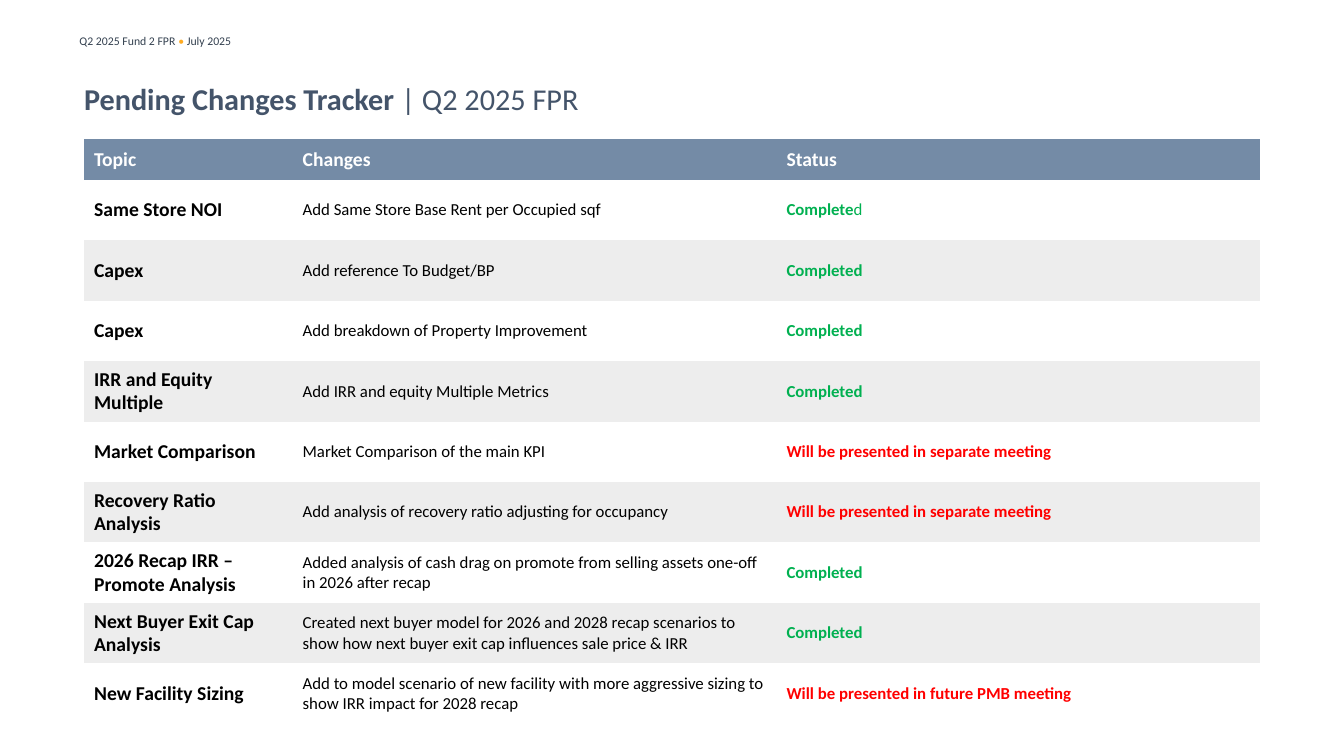
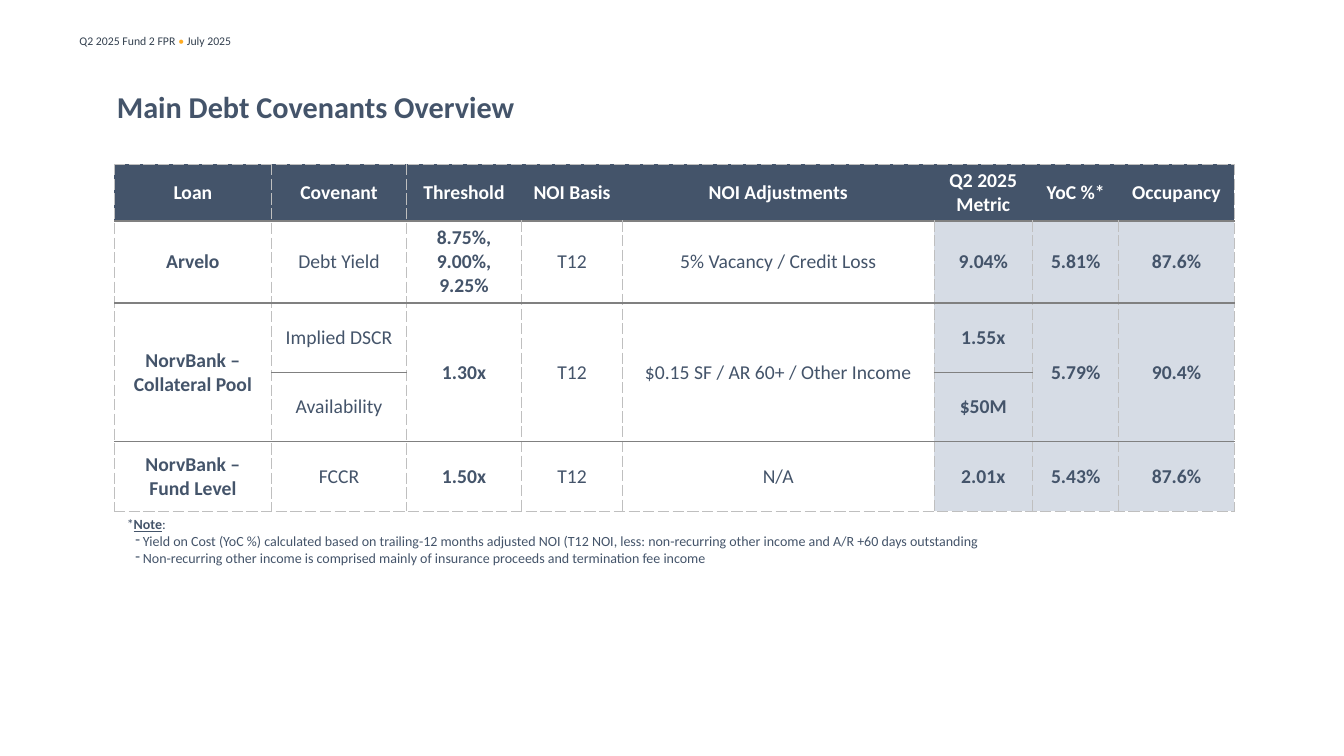
from lxml.etree import SubElement
from pptx import Presentation
from pptx.dml.color import RGBColor
from pptx.enum.text import MSO_ANCHOR, MSO_AUTO_SIZE, PP_ALIGN
from pptx.oxml import parse_xml
from pptx.oxml.ns import nsdecls, qn
from pptx.util import Pt

FONT = "Calibri"
WHITE = RGBColor(0xFF, 0xFF, 0xFF)
BLACK = RGBColor(0, 0, 0)
NAVY = RGBColor(0x44, 0x54, 0x6A)
SLATE = RGBColor(0x33, 0x40, 0x4F)
AMBER = RGBColor(0xFF, 0xAB, 0x21)
STEEL = RGBColor(0x74, 0x8B, 0xA6)
BAND = RGBColor(0xED, 0xED, 0xED)
METRIC_FILL = RGBColor(0xD6, 0xDC, 0xE5)
GREEN = RGBColor(0x00, 0xB0, 0x50)
RED = RGBColor(0xFF, 0, 0)
DASHED = ("BFBFBF", 0.5, "sysDash")
RULE = ("808080", 1, "solid")
NO_STYLE = "{2D5ABB26-0587-4C30-8999-92F81FD0307C}"

DONE = "Completed"
SEPARATE = "Will be presented in separate meeting"
CHANGES = [
    ("Same Store NOI", "Add Same Store Base Rent per Occupied sqf", DONE),
    ("Capex", "Add reference To Budget/BP", DONE),
    ("Capex", "Add breakdown of Property Improvement", DONE),
    ("IRR and Equity Multiple", "Add IRR and equity Multiple Metrics", DONE),
    ("Market Comparison", "Market Comparison of the main KPI", SEPARATE),
    ("Recovery Ratio Analysis",
     "Add analysis of recovery ratio adjusting for occupancy", SEPARATE),
    ("2026 Recap IRR – Promote Analysis",
     "Added analysis of cash drag on promote from selling assets one-off "
     "in 2026 after recap", DONE),
    ("Next Buyer Exit Cap Analysis",
     "Created next buyer model for 2026 and 2028 recap scenarios to show how "
     "next buyer exit cap influences sale price & IRR", DONE),
    ("New Facility Sizing",
     "Add to model scenario of new facility with more aggressive sizing to "
     "show IRR impact for 2028 recap",
     "Will be presented in future PMB meeting"),
]

# None continues the cell above
COVENANTS = [
    ("Loan", "Covenant", "Threshold", "NOI Basis", "NOI Adjustments",
     "Q2 2025\nMetric", "YoC %*", "Occupancy"),
    ("Arvelo", "Debt Yield", "8.75%, 9.00%, 9.25%", "T12",
     "5% Vacancy / Credit Loss", "9.04%", "5.81%", "87.6%"),
    ("NorvBank – Collateral Pool", "Implied DSCR", "1.30x", "T12",
     "$0.15 SF / AR 60+ / Other Income", "1.55x", "5.79%", "90.4%"),
    (None, "Availability", None, None, None, "$50M", None, None),
    ("NorvBank –\nFund Level", "FCCR", "1.50x", "T12", "N/A",
     "2.01x", "5.43%", "87.6%"),
]
NOTES = [
    "Yield on Cost (YoC %) calculated based on trailing-12 months adjusted NOI "
    "(T12 NOI, less: non-recurring other income and A/R +60 days outstanding",
    "Non-recurring other income is comprised mainly of insurance proceeds "
    "and termination fee income",
]


def set_font(font, size, color, bold=False):
    font.name = FONT
    font.size = Pt(size)
    font.color.rgb = color
    font.bold = bold


def add_span(para, text):
    span = para.add_run()
    span.text = text
    return span


def add_text_box(shapes, left, top, width, height):
    box = shapes.add_textbox(Pt(left), Pt(top), Pt(width), Pt(height))
    box.text_frame.word_wrap = True
    return box


def add_running_header(layout, page):
    """Place the running header on the layout, so that every page shows it."""
    for placeholder in list(layout.placeholders)[1:]:
        layout.shapes.element.remove(placeholder.element)
    box = add_text_box(page.shapes, 49.7, 20.9, 324.7, 17.3)
    para = box.text_frame.paragraphs[0]
    set_font(para.font, 8.4, SLATE)
    add_span(para, "Q2 2025 Fund 2 FPR ")
    add_span(para, "• ").font.color.rgb = AMBER
    add_span(para, "July 2025")
    layout.shapes.element.append(box.element)


def format_title(page, left, top, strong, light=""):
    title = page.shapes.title
    title.left, title.top = Pt(left), Pt(top)
    title.width, title.height = Pt(793.4), Pt(54)
    frame = title.text_frame
    frame.auto_size = MSO_AUTO_SIZE.NONE
    frame.vertical_anchor = MSO_ANCHOR.MIDDLE
    frame.margin_left = frame.margin_right = 0
    frame.margin_top = frame.margin_bottom = 0
    para = frame.paragraphs[0]
    para.alignment = PP_ALIGN.LEFT
    set_font(para.font, 21.6, NAVY, True)
    add_span(para, strong)
    if light:
        add_span(para, light).font.bold = False


def add_plain_table(page, left, top, widths, heights):
    frame = page.shapes.add_table(len(heights), len(widths), Pt(left), Pt(top),
                                  Pt(sum(widths)), Pt(sum(heights)))
    table = frame.table
    table.first_row = table.horz_banding = False
    frame.element.find(".//" + qn("a:tableStyleId")).text = NO_STYLE
    for column, width in zip(table.columns, widths):
        column.width = Pt(width)
    for row, height in zip(table.rows, heights):
        row.height = Pt(height)
    return table


def fill_cell(cell, text, fill, size, color, bold, alignment=PP_ALIGN.LEFT):
    cell.fill.solid()
    cell.fill.fore_color.rgb = fill
    cell.vertical_anchor = MSO_ANCHOR.MIDDLE
    cell.text_frame.text = text
    for para in cell.text_frame.paragraphs:
        para.alignment = alignment
        set_font(para.font, size, color, bold)


def set_borders(cell, **borders):
    """Draw the given sides (L, R, T, B, in this order) of a cell."""
    properties = cell._tc.get_or_add_tcPr()
    for index, (side, (color, width, dash)) in enumerate(borders.items()):
        properties.insert(index, parse_xml(
            f'<a:ln{side} {nsdecls("a")} w="{Pt(width)}">'
            f'<a:solidFill><a:srgbClr val="{color}"/></a:solidFill>'
            f'<a:prstDash val="{dash}"/></a:ln{side}>'))


def add_changes_table(page):
    table = add_plain_table(page, 60, 99.3, [149, 345.6, 345.6],
                            [29] + [43.2] * len(CHANGES))
    for column, heading in enumerate(("Topic", "Changes", "Status")):
        fill_cell(table.cell(0, column), heading, STEEL, 14, WHITE, True)
    for row, (topic, change, status) in enumerate(CHANGES, 1):
        fill = WHITE if row % 2 else BAND
        status_color = GREEN if status == DONE else RED
        fill_cell(table.cell(row, 0), topic, fill, 14, BLACK, True)
        fill_cell(table.cell(row, 1), change, fill, 12, BLACK, False)
        fill_cell(table.cell(row, 2), status, fill, 12, status_color, True)
    first_status = table.cell(1, 2).text_frame.paragraphs[0]
    first_status.runs[0].text = DONE[:-1]
    add_span(first_status, DONE[-1]).font.bold = False


def covenant_borders(row, column, spanned):
    last = len(COVENANTS) - 1
    borders = {}
    if row or column < 2:
        borders["L"] = DASHED
    if row or column in (0, len(COVENANTS[0]) - 1):
        borders["R"] = DASHED
    if not spanned:
        borders["T"] = RULE if row else DASHED
    borders["B"] = DASHED if row == last else RULE
    return borders


def add_covenants_table(page):
    table = add_plain_table(page, 81.7, 117.4,
                            [112.2, 96.6, 82, 72.4, 222.2, 70.7, 61.4, 82.6],
                            [40.4, 58.6, 49.6, 49.6, 49.6])
    for row, texts in enumerate(COVENANTS):
        for column, text in enumerate(texts):
            cell = table.cell(row, column)
            if text is None:
                table.cell(row - 1, column).merge(cell)
            set_borders(cell, **covenant_borders(row, column, text is None))
            if row == 0:
                cell.margin_top = cell.margin_bottom = Pt(3)
                fill, color, bold = NAVY, WHITE, True
            else:
                fill = METRIC_FILL if column >= 5 else WHITE
                color, bold = NAVY, column not in (1, 3, 4)
            fill_cell(cell, text or "", fill, 14, color, bold, PP_ALIGN.CENTER)


def add_notes(page):
    frame = add_text_box(page.shapes, 83.5, 365, 700.6, 43.9).text_frame
    heading = frame.paragraphs[0]
    set_font(heading.font, 10, NAVY)
    add_span(heading, "*")
    label = add_span(heading, "Note")
    label.font.bold = label.font.underline = True
    add_span(heading, ":")
    for note in NOTES:
        para = frame.add_paragraph()
        properties = para._p.get_or_add_pPr()
        properties.set("marL", str(Pt(11.5)))
        properties.set("indent", str(Pt(-5.3)))
        SubElement(properties, qn("a:buChar")).set("char", "-")
        set_font(para.font, 10, NAVY)
        add_span(para, note)


def main():
    deck = Presentation()
    deck.slide_width, deck.slide_height = Pt(960), Pt(540)
    layout = deck.slide_layouts[5]

    tracker = deck.slides.add_slide(layout)
    add_running_header(layout, tracker)
    format_title(tracker, 60, 43.2, "Pending Changes Tracker ", "| Q2 2025 FPR")
    add_changes_table(tracker)

    covenants = deck.slides.add_slide(layout)
    format_title(covenants, 83.5, 49, "Main Debt Covenants Overview")
    add_covenants_table(covenants)
    add_notes(covenants)

    deck.save("out.pptx")


if __name__ == "__main__":
    main()
